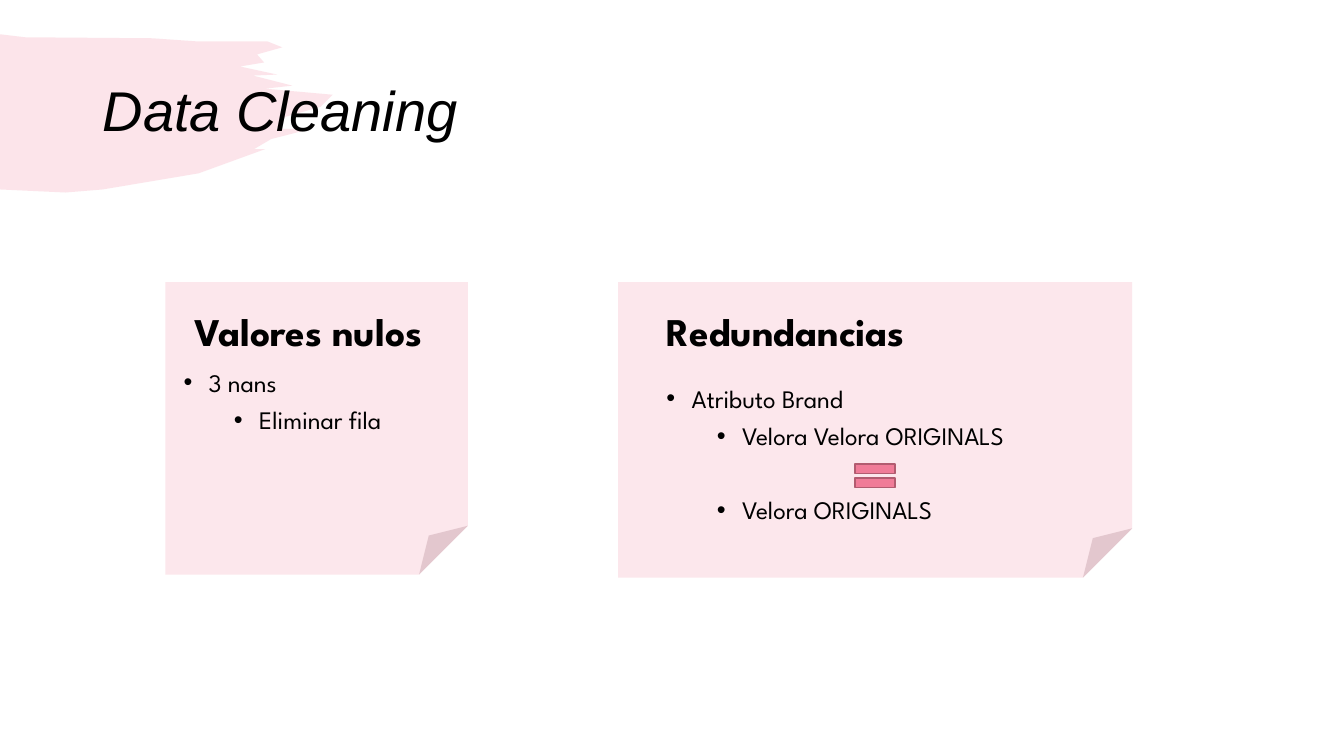
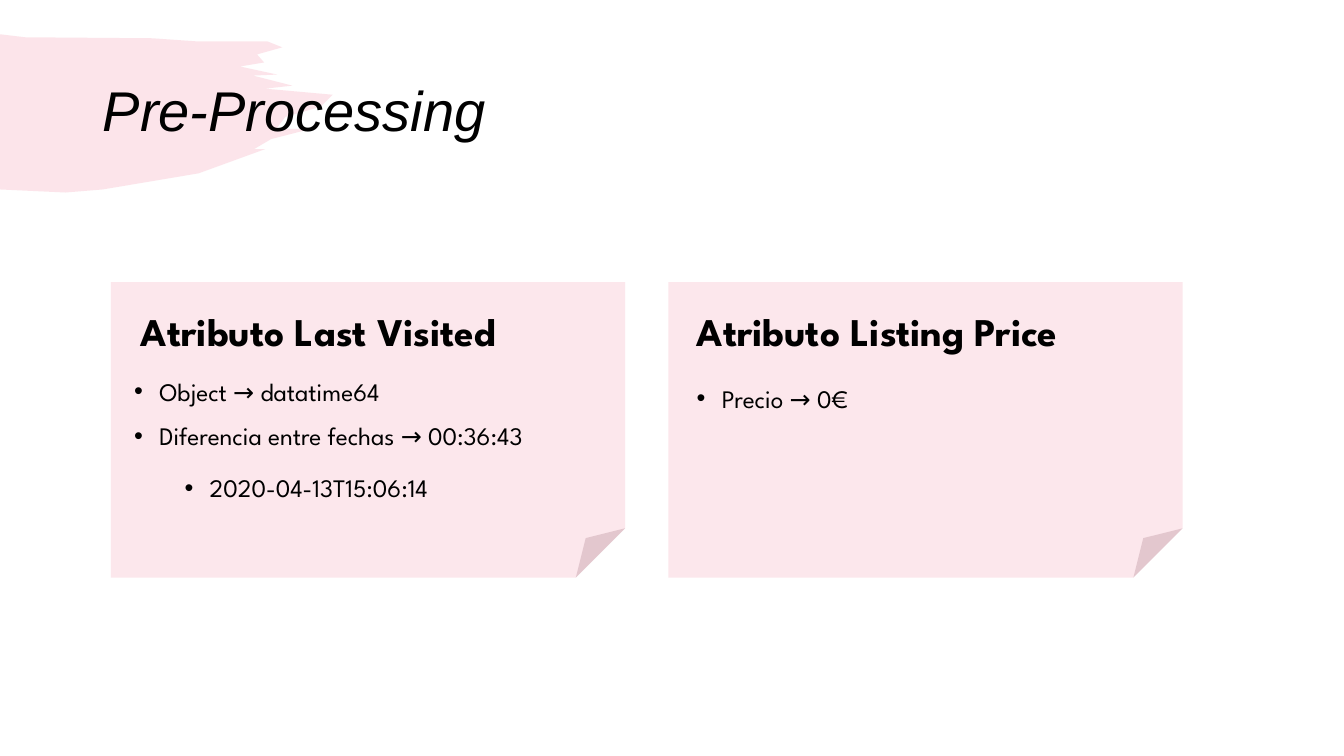
from dataclasses import dataclass

from lxml.etree import SubElement
from pptx import Presentation
from pptx.dml.color import RGBColor as RGB
from pptx.enum.shapes import MSO_SHAPE as Preset
from pptx.enum.text import MSO_AUTO_SIZE as AutoSize, PP_ALIGN as Align
from pptx.oxml.ns import qn
from pptx.util import Inches, Pt


@dataclass(frozen=True)
class Theme:
    ink = RGB.from_string("000000")
    rose = RGB.from_string("F07C98")
    rose_edge = RGB.from_string("B25C70")
    note = RGB.from_string("F9CBD6")
    title = {"name": "Arial", "size": Pt(40), "italic": True, "bold": False}
    heading = {"name": "League Spartan", "size": Pt(28), "bold": True}
    item = {"name": "League Spartan", "size": Pt(18), "bold": False}


theme = Theme()

# Brush stroke outline in inches, clockwise from the top left
BRUSH = [
    (0, 0.34), (0.25, 0.37), (1.51, 0.38), (1.94, 0.41), (2.65, 0.41), (2.8, 0.47),
    (2.55, 0.54), (2.62, 0.62), (2.38, 0.66), (2.75, 0.74), (2.51, 0.75),
    (2.9, 0.85), (2.63, 0.88), (3.3, 0.94), (3.18, 1.06), (2.83, 1.16),
    (2.74, 1.28), (3.08, 1.28), (2.69, 1.38), (2.52, 1.48), (2.63, 1.48),
    (1.97, 1.72), (1.02, 1.88), (0.65, 1.91), (0, 1.88),
]

# Shared card rows
NOTE_TOP = 2.8
HEADING_TOP, HEADING_HEIGHT = 2.53, 1.04
TEXT_WIDTH, LIST_HEIGHT = 5.4, 3.35
WIDE_NOTE = (5.1, 2.93)

# Each list item: text, level and any spacing of its own
SLIDES = [
    ("Data Cleaning", [
        {"heading": "Valores nulos", "align": Align.CENTER, "note_left": 1.64,
         "note_size": (3, 2.9), "heading_left": 0.36, "list_at": (1.72, 3.59),
         "items": [("3 nans", 0, {}), ("Eliminar fila", 1, {})]},
        {"heading": "Redundancias", "align": Align.LEFT, "note_left": 6.13,
         "note_size": WIDE_NOTE, "heading_left": 6.51, "list_at": (6.51, 3.75),
         "equal_at": (8.41, 4.52, 0.54, 0.4),
         "items": [("Atributo Brand", 0, {}),
                   ("Velora Velora ORIGINALS", 1, {}),
                   ("Velora ORIGINALS", 1, {"space_before": Pt(31.5)})]},
    ]),
    ("Pre-Processing", [
        {"heading": "Atributo Last Visited", "align": Align.CENTER, "note_left": 1.1,
         "note_size": WIDE_NOTE, "heading_left": 0.46, "list_at": (1.23, 3.68),
         "items": [("Object → datatime64", 0, {}),
                   ("Diferencia entre fechas → 00:36:43", 0, {}),
                   ("2020-04-13T15:06:14", 1, {"line_spacing": 1.5})]},
        {"heading": "Atributo Listing Price", "align": Align.LEFT, "note_left": 6.63,
         "note_size": WIDE_NOTE, "heading_left": 6.81, "list_at": (6.81, 3.75),
         "items": [("Precio → 0€", 0, {})]},
    ]),
]


def tint(shape, color, opacity):
    """Flat fill with the given opacity in percent, no line or shadow."""
    shape.shadow.inherit = False
    shape.line.fill.background()
    shape.fill.solid()
    shape.fill.fore_color.rgb = color
    rgb = shape.element.spPr.find(qn("a:solidFill")).find(qn("a:srgbClr"))
    SubElement(rgb, qn("a:alpha"), val=str(opacity * 1000))


def write(holder, box, lines, style, align=Align.LEFT, bulleted=False):
    """Place a placeholder and fill it with formatted paragraphs."""
    holder.left, holder.top, holder.width, holder.height = map(Inches, box)
    frame = holder.text_frame
    frame.auto_size = AutoSize.NONE
    for number, (text, level, own_spacing) in enumerate(lines):
        paragraph = frame.add_paragraph() if number else frame.paragraphs[0]
        spacing = {"level": level, "alignment": align, "line_spacing": 1.0,
                   "space_before": Pt(10 - 5 * level), **own_spacing}
        for name, value in spacing.items():
            setattr(paragraph, name, value)
        run = paragraph.add_run()
        run.text = text
        for name, value in style.items():
            setattr(run.font, name, value)
        run.font.color.rgb = theme.ink
        if bulleted:
            properties = paragraph._p.get_or_add_pPr()
            properties.set("marL", str(Inches(0.25 + 0.5 * level)))
            properties.set("indent", str(Inches(-0.25)))
            SubElement(properties, qn("a:buChar"), char="•")


deck = Presentation()
deck.slide_width, deck.slide_height = Inches(13.33), Inches(7.5)
comparison = deck.slide_layouts.get_by_name("Comparison")
slides = [deck.slides.add_slide(comparison) for _ in SLIDES]

# Brush stroke, drawn once and moved to the shared layout
start, *edge = [(Inches(x), Inches(y)) for x, y in BRUSH]
pen = slides[0].shapes.build_freeform(*start)
pen.add_line_segments(edge, close=True)
brush = pen.convert_to_shape()
tint(brush, theme.rose, 20)
brush.element.nvSpPr.cNvPr.set("id", "99")
comparison.placeholders[0].element.addprevious(brush.element)

for slide, (title, cards) in zip(slides, SLIDES):
    # Title
    write(slide.shapes.title, (0.92, 0.4, 11.5, 1.45),
          [(title, 0, {"space_before": Pt(0), "line_spacing": 0.9})], theme.title)
    holders = {holder.placeholder_format.idx: holder for holder in slide.placeholders}

    for side, card in enumerate(cards):
        # Folded note behind the text
        note_box = (card["note_left"], NOTE_TOP, *card["note_size"])
        note = slide.shapes.add_shape(Preset.FOLDED_CORNER, *map(Inches, note_box))
        tint(note, theme.note, 46)
        slide.shapes.title.element.addprevious(note.element)

        # Heading and list
        heading_box = (card["heading_left"], HEADING_TOP, TEXT_WIDTH, HEADING_HEIGHT)
        write(holders[1 + 2 * side], heading_box, [(card["heading"], 0, {})],
              theme.heading, card["align"])
        list_left, list_top = card["list_at"]
        list_width = min(TEXT_WIDTH, card["note_left"] + card["note_size"][0] - list_left)
        write(holders[2 + 2 * side], (list_left, list_top, list_width, LIST_HEIGHT),
              card["items"], theme.item, bulleted=True)

        # Equal sign between the two brand names
        if "equal_at" in card:
            equal = slide.shapes.add_shape(Preset.MATH_EQUAL, *map(Inches, card["equal_at"]))
            tint(equal, theme.rose, 100)
            equal.line.color.rgb = theme.rose_edge
            equal.line.width = Pt(1)

deck.save("out.pptx")
